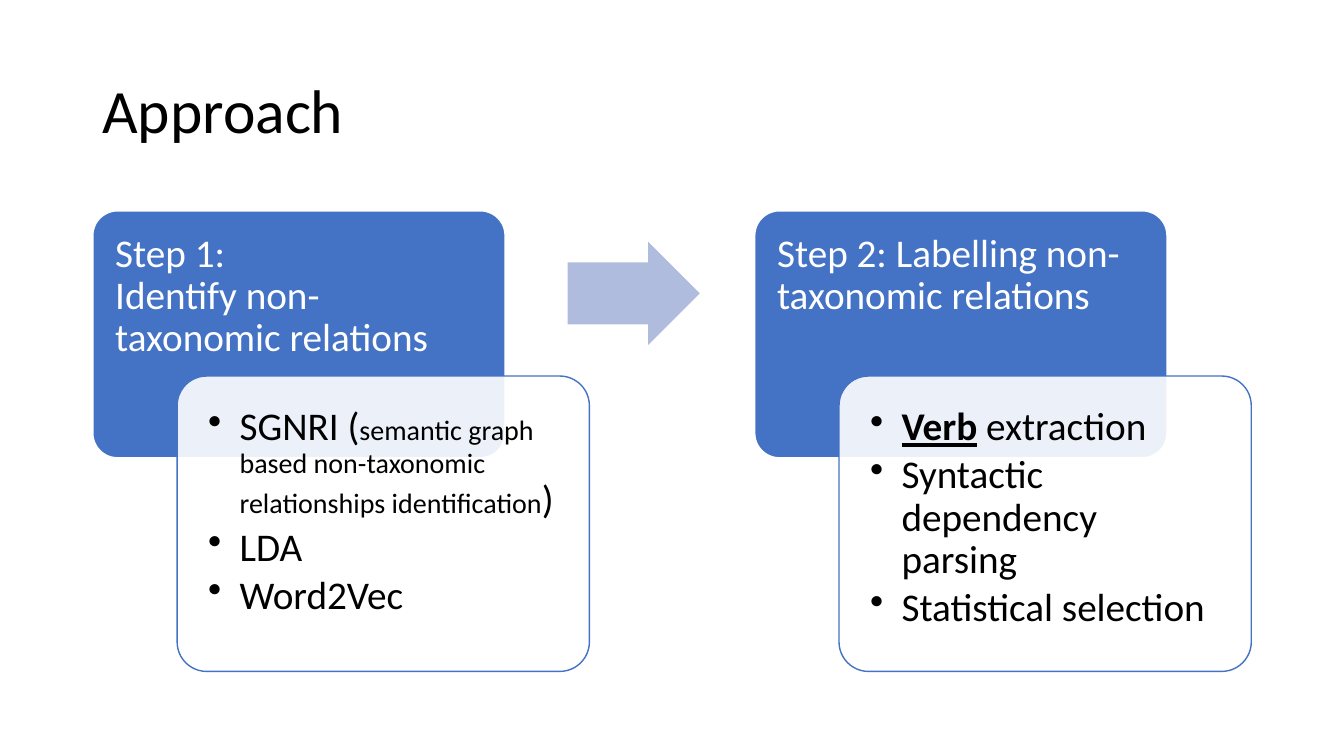
from dataclasses import dataclass

from lxml import etree
from pptx import Presentation
from pptx.dml import color
from pptx.enum import shapes, text
from pptx.oxml import ns
from pptx.util import Pt

FONT = "Calibri"
BLUE, PALE_BLUE, WHITE, BLACK = "4472C4", "B0BCDE", "FFFFFF", "000000"
STEP_LEFT, STEP_PITCH, STEP_TOP = 66.3, 472.8, 150.6
STEP_WIDTH, HEADER_HEIGHT, CARD_HEIGHT = 294.5, 176.4, 211
CARD_SHIFT, CARD_TOP, CARD_PADDING = 60.2, 268.6, 6.2
INSET, BULLET_INDENT = 16, 22.5


@dataclass(frozen=True)
class Box:
    left: float
    top: float
    width: float
    height: float

    def lengths(self) -> tuple:
        return Pt(self.left), Pt(self.top), Pt(self.width), Pt(self.height)


@dataclass(frozen=True)
class Phrase:
    words: str
    size: float | None = None
    strong: bool = False


@dataclass(frozen=True)
class Step:
    heading: str
    methods: tuple[tuple[Phrase, ...], ...]


STEPS = (
    Step("Step 1: \vIdentify non-taxonomic relations", (
        (Phrase("SGNRI ("),
         Phrase("semantic graph based non-taxonomic relationships identification", 20),
         Phrase(")")),
        (Phrase("LDA"),),
        (Phrase("Word2Vec"),),
    )),
    Step("Step 2: Labelling non-taxonomic relations", (
        (Phrase("Verb", strong=True), Phrase(" extraction")),
        (Phrase("Syntactic dependency parsing"),),
        (Phrase("Statistical selection"),),
    )),
)


def rgb(value: str) -> color.RGBColor:
    return color.RGBColor.from_string(value)


def add_panel(slide, kind, box: Box, fill: str, line: str | None,
              adjustments: tuple[float, ...], opacity: int = 100) -> None:
    panel = slide.shapes.add_shape(kind, *box.lengths())
    panel.shadow.inherit = False
    for index, value in enumerate(adjustments):
        panel.adjustments[index] = value
    panel.fill.solid()
    panel.fill.fore_color.rgb = rgb(fill)
    if opacity < 100:
        tint = panel.fill._xPr.find(ns.qn("a:solidFill"))[0]
        etree.SubElement(tint, ns.qn("a:alpha"), val=str(opacity * 1000))
    if line:
        panel.line.color.rgb = rgb(line)
        panel.line.width = Pt(1)
    else:
        panel.line.fill.background()


def add_frame(slide, box: Box, insets: tuple[float, float, float, float]):
    frame = slide.shapes.add_textbox(*box.lengths()).text_frame
    frame.word_wrap = True
    (frame.margin_left, frame.margin_top,
     frame.margin_right, frame.margin_bottom) = map(Pt, insets)
    return frame


def style(paragraph, size: float, ink: str, space_after: float = 0) -> None:
    paragraph.line_spacing = 0.9
    paragraph.space_after = Pt(space_after)
    paragraph.font.name = FONT
    paragraph.font.size = Pt(size)
    paragraph.font.color.rgb = rgb(ink)


def add_bullet(paragraph) -> None:
    properties = paragraph._p.get_or_add_pPr()
    properties.set("marL", str(Pt(BULLET_INDENT)))
    properties.set("indent", str(-Pt(BULLET_INDENT)))
    bullet = etree.Element(ns.qn("a:buChar"), char="•")
    properties.find(ns.qn("a:defRPr")).addprevious(bullet)


def add_title(slide, title: str) -> None:
    frame = add_frame(slide, Box(66, 28.8, 828, 104.4), (7.2, 3.6, 7.2, 3.6))
    frame.vertical_anchor = text.MSO_ANCHOR.MIDDLE
    frame.text = title
    style(frame.paragraphs[0], 44, BLACK)


def add_methods(slide, methods: tuple[tuple[Phrase, ...], ...], box: Box) -> None:
    frame = add_frame(slide, box, (INSET,) * 4)
    for index, phrases in enumerate(methods):
        paragraph = frame.add_paragraph() if index else frame.paragraphs[0]
        paragraph.level = 1
        style(paragraph, 28, BLACK, 4)
        add_bullet(paragraph)
        for phrase in phrases:
            run = paragraph.add_run()
            run.text = phrase.words
            if phrase.size:
                run.font.size = Pt(phrase.size)
            if phrase.strong:
                run.font.bold = run.font.underline = True


def add_step(slide, step: Step, left: float) -> None:
    rounded = shapes.MSO_SHAPE.ROUNDED_RECTANGLE
    header = Box(left, STEP_TOP, STEP_WIDTH, HEADER_HEIGHT)
    add_panel(slide, rounded, header, BLUE, WHITE, (0.1,))
    heading = add_frame(slide, Box(left, STEP_TOP, STEP_WIDTH, 117.6),
                        (INSET, INSET, INSET, 8.6))
    heading.text = step.heading.replace("\v", "\v")
    style(heading.paragraphs[0], 28, WHITE, 10)

    card = Box(left + CARD_SHIFT, CARD_TOP, STEP_WIDTH, CARD_HEIGHT)
    add_panel(slide, rounded, card, WHITE, BLUE, (0.1,), 90)
    add_methods(slide, step.methods, Box(
        card.left + CARD_PADDING, card.top + CARD_PADDING,
        card.width - 2 * CARD_PADDING, card.height - 2 * CARD_PADDING))


def main() -> None:
    deck = Presentation()
    deck.slide_width, deck.slide_height = Pt(960), Pt(540)
    slide = deck.slides.add_slide(deck.slide_layouts[6])
    add_title(slide, "Approach")
    for index, step in enumerate(STEPS):
        add_step(slide, step, STEP_LEFT + index * STEP_PITCH)
    add_panel(slide, shapes.MSO_SHAPE.RIGHT_ARROW, Box(405.4, 172.8, 94.4, 73.6),
              PALE_BLUE, None, (0.6, 0.5))
    deck.save("out.pptx")


if __name__ == "__main__":
    main()
